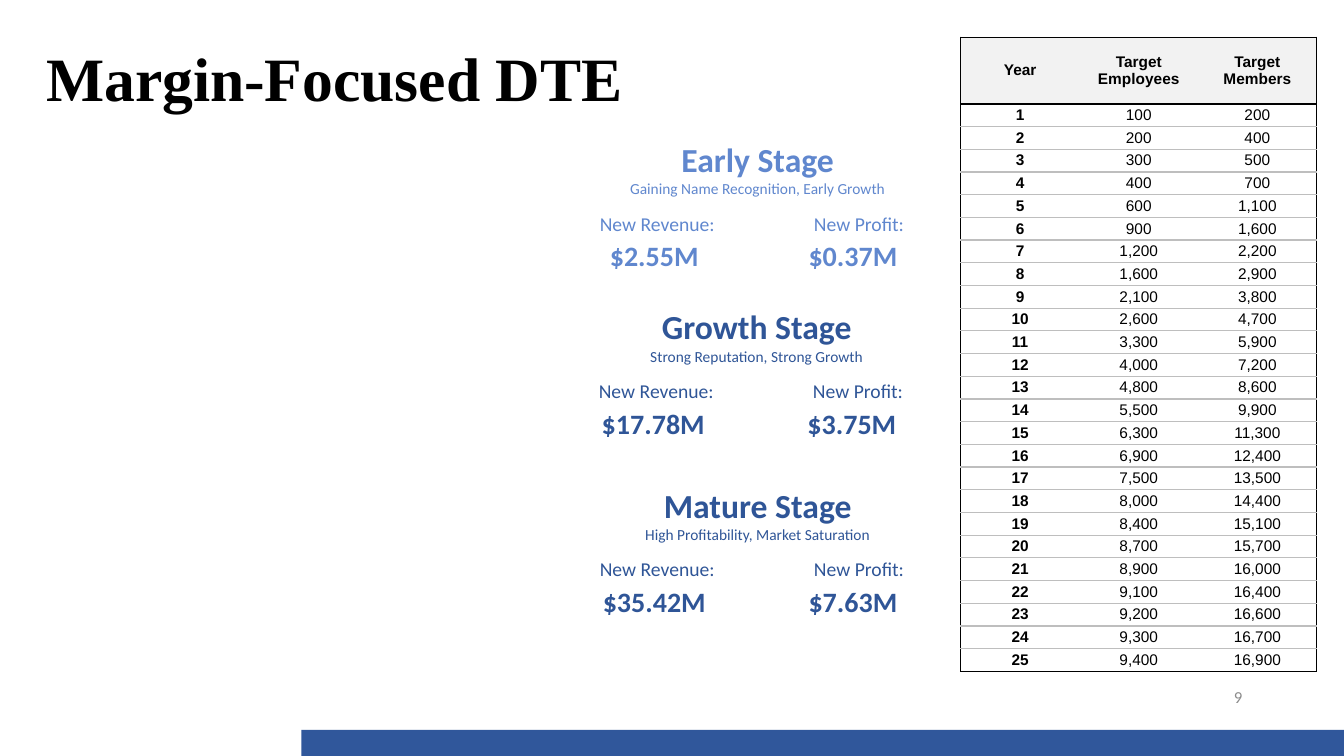
"""Builds the Margin-Focused DTE slide: three growth stages beside a 25-year target table."""
from lxml.etree import SubElement
from pptx import Presentation
from pptx.dml.color import RGBColor
from pptx.enum.shapes import MSO_SHAPE
from pptx.enum.text import MSO_ANCHOR, MSO_AUTO_SIZE, PP_ALIGN
from pptx.oxml.ns import qn
from pptx.util import Inches, Pt

TITLE = "Margin-Focused DTE"
PAGE = "9"
HEADERS = ["Year", "Target\nEmployees", "Target\nMembers"]
TARGETS = [
    (100, 200), (200, 400), (300, 500), (400, 700), (600, 1100),
    (900, 1600), (1200, 2200), (1600, 2900), (2100, 3800), (2600, 4700),
    (3300, 5900), (4000, 7200), (4800, 8600), (5500, 9900), (6300, 11300),
    (6900, 12400), (7500, 13500), (8000, 14400), (8400, 15100), (8700, 15700),
    (8900, 16000), (9100, 16400), (9200, 16600), (9300, 16700), (9400, 16900),
]

BLACK = RGBColor(0x00, 0x00, 0x00)
GRAY = RGBColor(0x8C, 0x8C, 0x8C)
RULE = RGBColor(0xBE, 0xBE, 0xBE)
HEADER_FILL = RGBColor(0xF2, 0xF2, 0xF2)
LIGHT_BLUE = RGBColor(0x60, 0x87, 0xCE)
DARK_BLUE = RGBColor(0x2F, 0x55, 0x97)
BAR_BLUE = RGBColor(0x25, 0x4F, 0x96)

STAGES = [
    ("Early Stage", "Gaining Name Recognition, Early Growth", "$2.55M", "$0.37M",
     5.63, 1.33, 2.81, LIGHT_BLUE),
    ("Growth Stage", "Strong Reputation, Strong Growth", "$17.78M", "$3.75M",
     5.62, 2.99, 2.33, DARK_BLUE),
    ("Mature Stage", "High Profitability, Market Saturation", "$35.42M", "$7.63M",
     5.63, 4.76, 2.47, DARK_BLUE),
]
TABLE = (9.53, 0.37, 3.53, 6.29)
HEADER_H = 0.66


def style(p, size, font, color, bold=False, align=PP_ALIGN.CENTER):
    p.alignment = align
    for r in p.runs:
        r.font.size, r.font.name, r.font.bold = Pt(size), font, bold
        r.font.color.rgb = color


def add_text(s, box, text, size, color, bold=False, font="Calibri",
             align=PP_ALIGN.CENTER, anchor=MSO_ANCHOR.TOP, wrap=True, grow=True):
    tf = s.shapes.add_textbox(*map(Inches, box)).text_frame
    tf.word_wrap = wrap
    tf.auto_size = MSO_AUTO_SIZE.SHAPE_TO_FIT_TEXT if grow else MSO_AUTO_SIZE.NONE
    tf.vertical_anchor = anchor
    tf.text = text
    for p in tf.paragraphs:
        style(p, size, font, color, bold, align)
    return tf


def add_stage(s, name, tagline, revenue, profit, left, top, width, color):
    center = left + 1.885
    tf = add_text(s, (center - width / 2, top, width, 0.69), f"{name}\n{tagline}",
                  24, color, True, wrap=False)
    style(tf.paragraphs[1], 11, "Calibri", color)
    labels = [("New Revenue:", 0, 1.78), ("New Profit:", 2.28, 1.22)]
    for label, dx, w in labels:
        add_text(s, (left + dx, top + 0.72, w, 0.34), label, 14, color)
    for value, dx in [(revenue, -0.01), (profit, 1.96)]:
        add_text(s, (left + dx, top + 0.99, 1.74, 0.44), value, 20, color, True)


def set_border(cell, side, color, width):
    ln = SubElement(cell._tc.get_or_add_tcPr(), qn(f"a:ln{side}"), w=str(Pt(width)))
    if color is None:
        SubElement(ln, qn("a:noFill"))
    else:
        fill = SubElement(ln, qn("a:solidFill"))
        SubElement(fill, qn("a:srgbClr"), val=str(color))


def add_targets(s):
    rows = [HEADERS] + [(str(year), f"{employees:,}", f"{members:,}")
                        for year, (employees, members) in enumerate(TARGETS, 1)]
    last_row, last_col = len(rows) - 1, len(HEADERS) - 1
    table = s.shapes.add_table(len(rows), len(HEADERS), *map(Inches, TABLE)).table
    table.first_row = table.horz_banding = False
    for col in table.columns:
        col.width = Inches(TABLE[2] / len(HEADERS))
    for i, row in enumerate(rows):
        table.rows[i].height = Inches((TABLE[3] - HEADER_H) / last_row if i else HEADER_H)
        top = {0: (BLACK, 1), 1: (BLACK, 2)}.get(i, (RULE, 1))
        bottom = {0: (BLACK, 2), last_row: (BLACK, 1)}.get(i, (RULE, 1))
        for j, text in enumerate(row):
            cell = table.cell(i, j)
            cell.margin_left = cell.margin_right = cell.margin_top = cell.margin_bottom = 0
            cell.vertical_anchor = MSO_ANCHOR.MIDDLE
            set_border(cell, "L", BLACK if j == 0 else None, 1)
            set_border(cell, "R", BLACK if j == last_col else None, 1)
            set_border(cell, "T", *top)
            set_border(cell, "B", *bottom)
            if i == 0:
                cell.fill.solid()
                cell.fill.fore_color.rgb = HEADER_FILL
            else:
                cell.fill.background()
            cell.text_frame.text = text
            for p in cell.text_frame.paragraphs:
                style(p, 11, "Arial", BLACK, i == 0 or j == 0)


def add_bar(s):
    bar = s.shapes.add_shape(MSO_SHAPE.RECTANGLE, Inches(2.99), Inches(7.24),
                             Inches(10.34), Inches(0.28))
    bar.shadow.inherit = False
    bar.fill.solid()
    bar.fill.fore_color.rgb = BAR_BLUE
    bar.line.fill.background()
    color = bar._element.spPr.find(qn("a:solidFill")).find(qn("a:srgbClr"))
    SubElement(color, qn("a:alpha"), val="95000")


def main():
    prs = Presentation()
    prs.slide_width, prs.slide_height = Inches(13.33), Inches(7.5)
    s = prs.slides.add_slide(prs.slide_layouts[6])
    add_text(s, (9.42, 6.78, 3, 0.27), PAGE, 12, GRAY, align=PP_ALIGN.RIGHT,
             anchor=MSO_ANCHOR.MIDDLE, grow=False)
    add_targets(s)
    title = add_text(s, (0.36, 0.08, 11.5, 1.45), TITLE, 44, BLACK, True,
                     "Times New Roman", PP_ALIGN.LEFT, MSO_ANCHOR.MIDDLE, grow=False)
    title.paragraphs[0].line_spacing = 0.9
    for stage in STAGES:
        add_stage(s, *stage)
    add_bar(s)
    prs.save("out.pptx")


if __name__ == "__main__":
    main()
